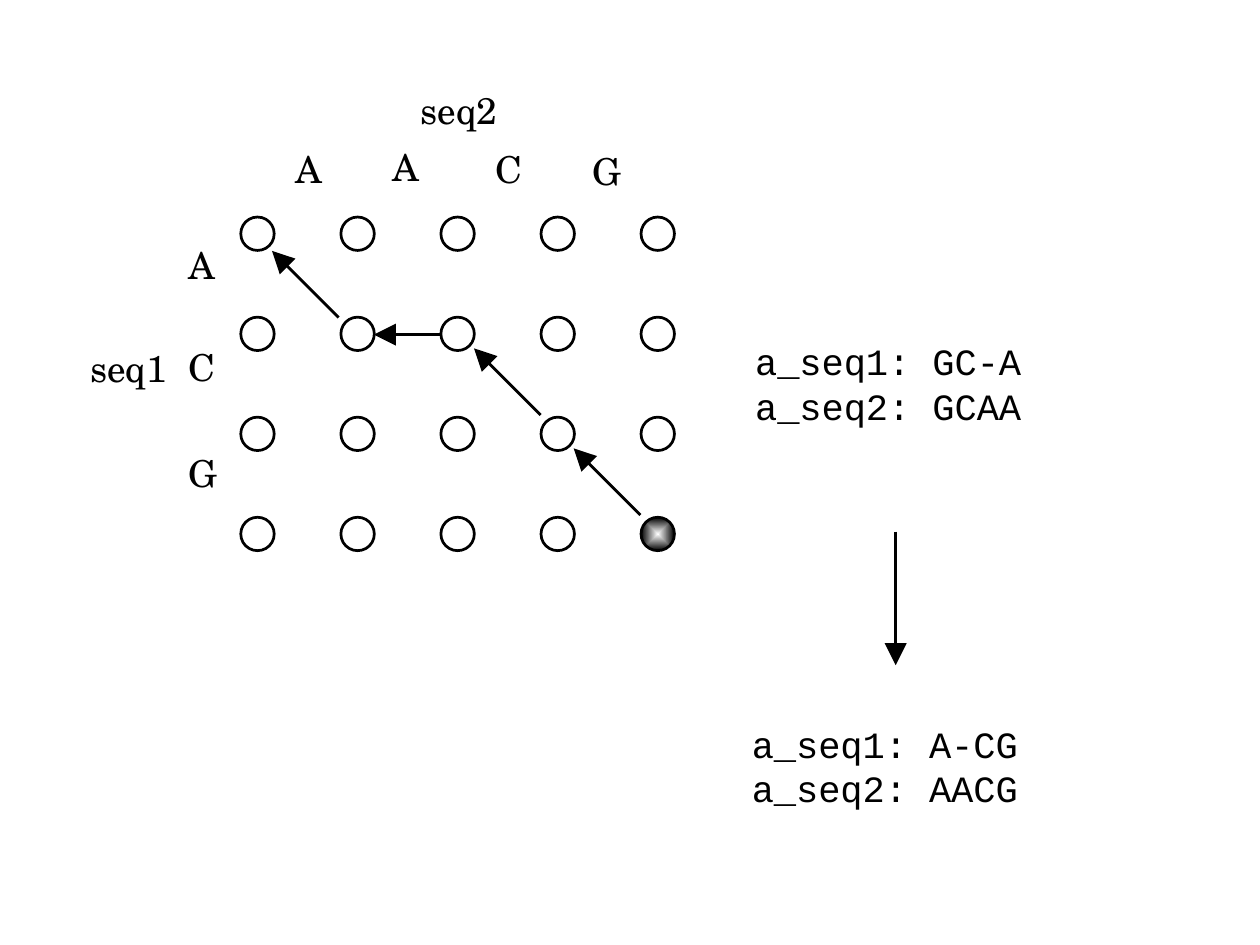
import pptx
import pptx.dml.color
import pptx.enum.shapes
import pptx.enum.text
import pptx.oxml
import pptx.util
from lxml import etree
from pptx.util import Pt

SERIF, MONO = "TeX Gyre Schola", "Courier New"
BLACK, WHITE = "000000", "FFFFFF"

ROWS, COLUMNS = 4, 5
GRID_LEFT, GRID_TOP, PITCH, DIAMETER = 65, 58.6, 27, 9
END_CELL = (3, 4)

# letter, left, top
LETTERS = [
    ("A", 72.7, 36), ("A", 98.9, 35.4), ("C", 126.7, 36), ("G", 152.8, 36.6),
    ("A", 43.9, 61.8), ("C", 43.9, 89.3), ("G", 43.9, 118),
]
LETTER_SIZE = (36, 27)

# lines, left, top, width, height, font
TEXTS = [
    (["seq1"], 17.2, 89.6, 54, 36, SERIF),
    (["seq2"], 106.4, 20, 45, 27, SERIF),
    (["a_seq1: GC-A", "a_seq2: GCAA"], 196.7, 87.8, 126, 54, MONO),
    (["a_seq1: A-CG", "a_seq2: AACG"], 195.8, 191, 99, 54, MONO),
]

# start x, start y, tip x, tip y
ARROWS = [
    (172.8, 139, 154.8, 121),
    (145.9, 112, 127.9, 94),
    (118.9, 90.3, 100.9, 90.3),
    (91.4, 85.7, 73.4, 67.7),
    (241.7, 143.5, 241.7, 179.5),
]


def color(value):
    return pptx.dml.color.RGBColor.from_string(value)


def fill_from_centre(shape):
    """Blend from white in the middle to black at the rim."""
    shape.fill.gradient()
    for stop, value in zip(shape.fill.gradient_stops, (WHITE, BLACK)):
        stop.color.rgb = color(value)
    gradient = shape.fill._xPr.find(pptx.oxml.ns.qn("a:gradFill"))
    linear = gradient.find(pptx.oxml.ns.qn("a:lin"))
    blend = etree.Element(pptx.oxml.ns.qn("a:path"), {"path": "rect"})
    etree.SubElement(blend, pptx.oxml.ns.qn("a:fillToRect"),
                     {side: "50000" for side in "ltrb"})
    gradient.replace(linear, blend)


def add_node(slide, row, column):
    shape = slide.shapes.add_shape(
        pptx.enum.shapes.MSO_SHAPE.OVAL,
        Pt(GRID_LEFT + column * PITCH), Pt(GRID_TOP + row * PITCH),
        Pt(DIAMETER), Pt(DIAMETER))
    shape.shadow.inherit = False
    if (row, column) == END_CELL:
        fill_from_centre(shape)
    else:
        shape.fill.solid()
        shape.fill.fore_color.rgb = color(WHITE)
    shape.line.color.rgb = color(BLACK)
    shape.line.width = Pt(0.75)


def add_text(slide, lines, left, top, width, height, font):
    box = slide.shapes.add_textbox(Pt(left), Pt(top), Pt(width), Pt(height))
    frame = box.text_frame
    frame.word_wrap = True
    frame.text = "\n".join(lines)
    for paragraph in frame.paragraphs:
        paragraph.alignment = pptx.enum.text.PP_ALIGN.JUSTIFY
        paragraph.font.name = font
        paragraph.font.size = Pt(10)
        paragraph.font.color.rgb = color(BLACK)


def add_arrow(slide, *ends):
    connector = slide.shapes.add_connector(
        pptx.enum.shapes.MSO_CONNECTOR.STRAIGHT, *map(Pt, ends))
    connector.line.color.rgb = color(BLACK)
    connector.line.width = Pt(0.75)
    properties = connector._element.spPr
    etree.SubElement(properties.find(pptx.oxml.ns.qn("a:ln")),
                     pptx.oxml.ns.qn("a:tailEnd"), {"type": "triangle"})
    etree.SubElement(properties, pptx.oxml.ns.qn("a:effectLst"))


def main():
    presentation = pptx.Presentation()
    presentation.slide_width, presentation.slide_height = Pt(340), Pt(255)
    slide = presentation.slides.add_slide(presentation.slide_layouts[6])
    for row in range(ROWS):
        for column in range(COLUMNS):
            add_node(slide, row, column)
    for letter, left, top in LETTERS:
        add_text(slide, [letter], left, top, *LETTER_SIZE, SERIF)
    for text in TEXTS:
        add_text(slide, *text)
    for arrow in ARROWS:
        add_arrow(slide, *arrow)
    presentation.save("out.pptx")


if __name__ == "__main__":
    main()
